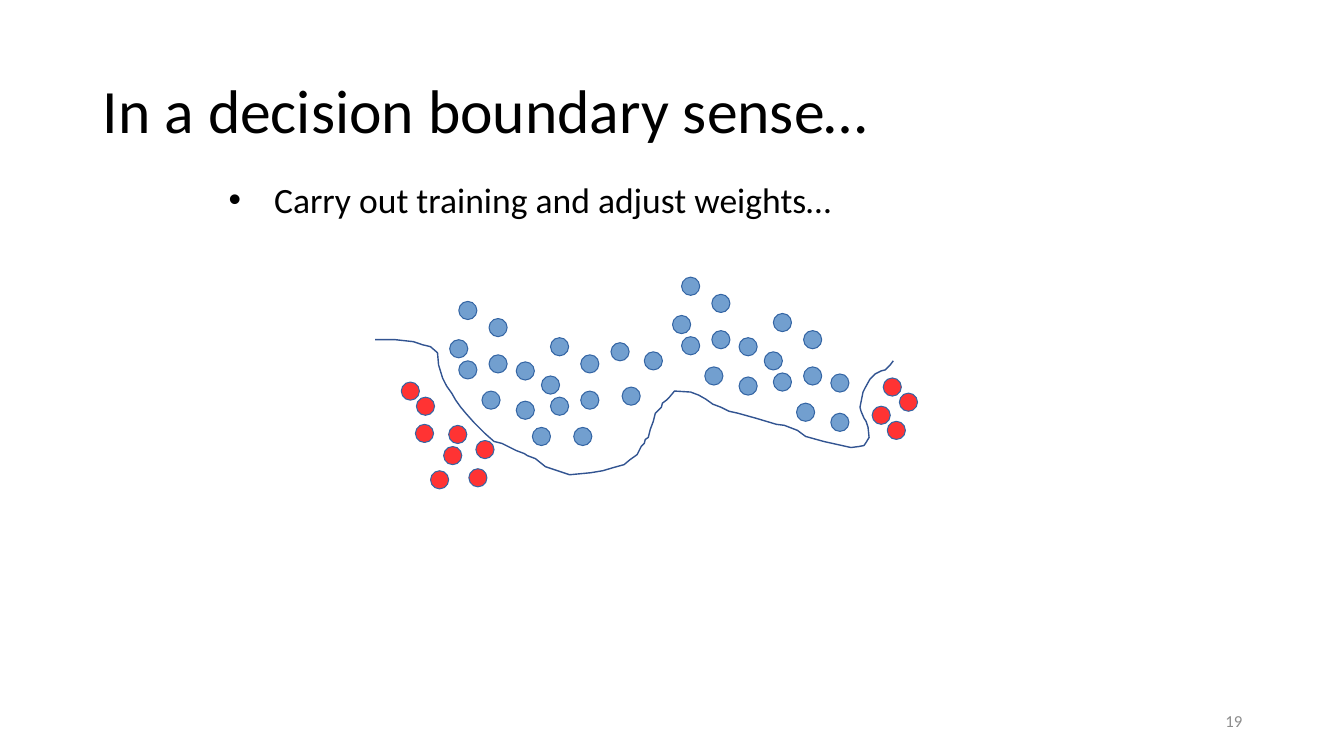
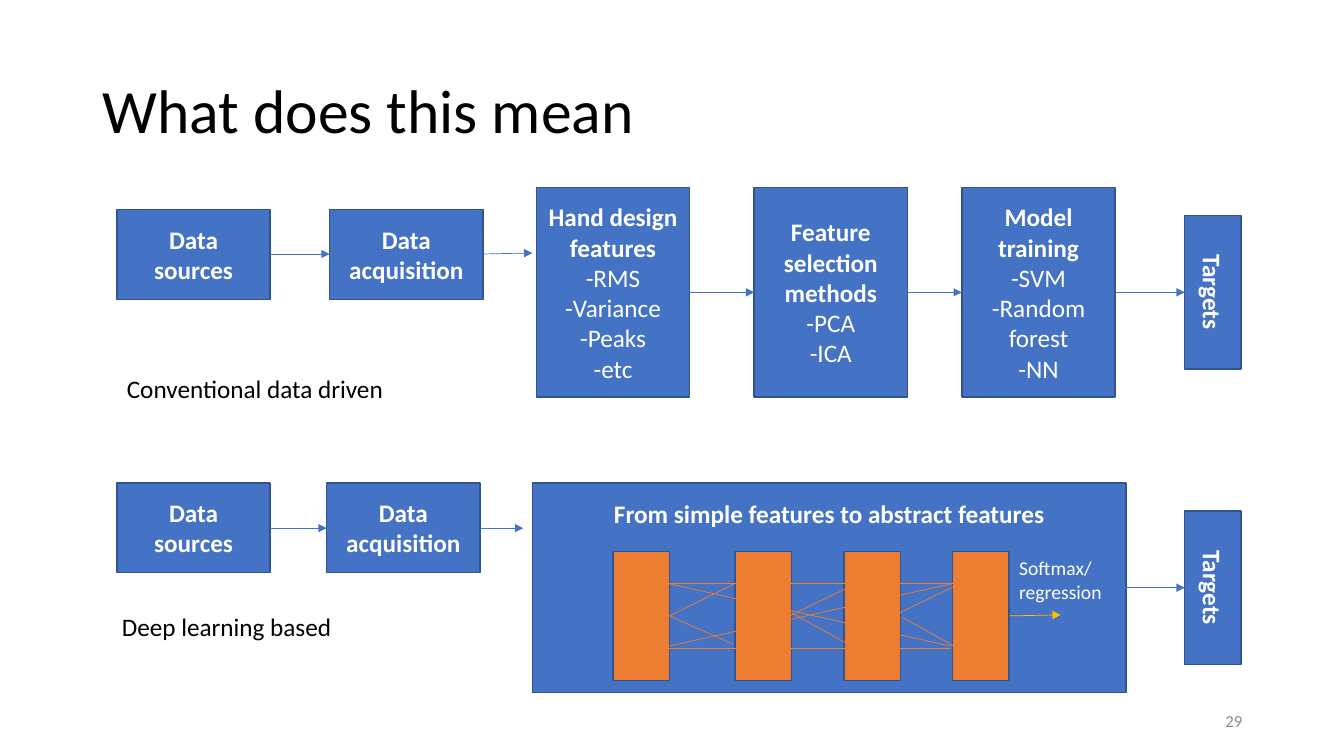
from pptx import Presentation, util as u
from pptx.dml import color
from pptx.enum import shapes, text
from pptx.oxml import xmlchemy as xml

BLACK, WHITE, GREY = "000000", "FFFFFF", "8C8C8C"
BLUE, NAVY, ORANGE, GOLD = "4472C4", "325491", "ED7D31", "FFC000"
SKY, RED, RIM = "729FCF", "FF3333", "3465A4"
LEFT, MID, RIGHT = text.PP_ALIGN.LEFT, text.PP_ALIGN.CENTER, text.PP_ALIGN.RIGHT
TOP, CENTRE = text.MSO_ANCHOR.TOP, text.MSO_ANCHOR.MIDDLE

DOT = 0.18
SWARM = [(0, 0), (0.3, 0.17), (-0.09, 0.38), (0, 0.59), (0.3, 0.53),
         (0.23, 0.89), (0.57, 0.6), (0.57, 0.99)]
SWARMS = [(4.55, 2.99, 8), (5.46, 3.35, 6), (6.76, 2.75, 8), (7.67, 3.11, 8)]
LOOSE = [(5.28, 4.24), (6.17, 3.84), (6.39, 3.49), (6.06, 3.4)]
REDS = [(3.98, 3.79), (4.13, 3.94), (4.72, 4.37), (4.4, 4.43), (4.65, 4.65),
        (4.12, 4.21), (4.27, 4.67), (4.45, 4.22), (8.65, 4.03), (8.76, 3.75),
        (8.8, 4.18), (8.92, 3.9)]
BOUND = [
    (3.72, 3.37), (3.92, 3.37), (4.1, 3.39), (4.19, 3.42), (4.27, 3.44),
    (4.34, 3.5), (4.35, 3.62), (4.39, 3.75), (4.43, 3.83), (4.48, 3.9),
    (4.52, 3.97), (4.57, 4.04), (4.62, 4.1), (4.7, 4.19), (4.76, 4.25),
    (4.81, 4.3), (4.9, 4.38), (4.98, 4.4), (5.02, 4.42), (5.12, 4.47),
    (5.2, 4.5), (5.23, 4.52), (5.31, 4.55), (5.41, 4.63), (5.53, 4.67),
    (5.65, 4.71), (5.86, 4.69), (5.98, 4.67), (6.08, 4.64), (6.19, 4.61),
    (6.25, 4.56), (6.32, 4.51), (6.36, 4.43), (6.39, 4.4), (6.4, 4.36),
    (6.43, 4.34), (6.45, 4.26), (6.48, 4.18), (6.5, 4.1), (6.56, 4.04),
    (6.57, 4), (6.61, 3.97), (6.64, 3.94), (6.69, 3.88), (6.85, 3.89),
    (6.93, 3.92), (7, 3.96), (7.07, 4.01), (7.15, 4.04), (7.23, 4.08),
    (7.32, 4.1), (7.5, 4.15), (7.7, 4.21), (7.78, 4.22), (7.91, 4.27),
    (7.99, 4.33), (8.17, 4.38), (8.35, 4.42), (8.44, 4.44), (8.52, 4.43),
    (8.57, 4.42), (8.59, 4.39), (8.62, 4.34), (8.61, 4.24), (8.59, 4.18),
    (8.57, 4.15), (8.54, 4.08), (8.53, 4.04), (8.56, 3.89), (8.58, 3.85),
    (8.63, 3.76), (8.68, 3.71), (8.74, 3.68), (8.78, 3.67), (8.83, 3.62),
    (8.86, 3.58)]

BOX_W, BOX_H, TALL_Y, TALL_H = 1.52, 0.89, 1.86, 2.08
LOW_Y = 4.79
BOXES = [
    (1.16, 2.08, BOX_H, ["Data sources"]),
    (3.27, 2.08, BOX_H, ["Data acquisition"]),
    (1.16, LOW_Y, BOX_H, ["Data sources"]),
    (3.24, LOW_Y, BOX_H, ["Data acquisition"]),
    (5.32, TALL_Y, TALL_H,
     ["Hand design features", "-RMS", "-Variance", "-Peaks", "-etc"]),
    (7.48, TALL_Y, TALL_H, ["Feature selection methods", "-PCA", "-ICA"]),
    (9.54, TALL_Y, TALL_H, ["Model training", "-SVM", "-Random forest", "-NN"])]
FLOWS = [(2.68, 2.52, 3.27, 2.52), (4.79, 2.52, 5.28, 2.51),
         (6.83, 2.9, 7.48, 2.9), (9, 2.9, 9.54, 2.9), (11.06, 2.9, 11.75, 2.9),
         (2.68, 5.24, 3.24, 5.24), (4.76, 5.24, 5.19, 5.24),
         (11.16, 5.83, 11.75, 5.83)]
LAYERS = [6.08, 7.29, 8.37, 9.45]
LINKS = [(6.64, 5.79, 9.45, 5.79), (6.62, 6.43, 9.43, 6.43),
         (6.63, 6.41, 9.45, 5.79), (6.63, 5.79, 9.43, 6.41),
         (6.64, 6.11, 7.29, 5.79), (7.73, 6.16, 8.39, 5.84),
         (8.84, 6.12, 9.5, 5.8), (8.94, 6.12, 9.5, 6.43),
         (7.85, 6.08, 8.41, 6.39), (6.64, 6.11, 7.27, 6.39)]


def inch(*vals):
    return [u.Inches(v) for v in vals]


def put(obj, vals):
    for name, val in vals.items():
        setattr(obj, name, val)


def tint(fill, hue):
    fill.solid()
    fill.fore_color.rgb = color.RGBColor.from_string(hue)


def stroke(item, hue, width):
    tint(item.line.fill, hue)
    item.line.width = u.Pt(width)


def write(frame, rows, size, hue, bold=0, align=LEFT, anchor=TOP, wrap=True,
          space=None):
    put(frame, {"word_wrap": wrap, "vertical_anchor": anchor})
    for i, row in enumerate(rows):
        para = frame.add_paragraph() if i else frame.paragraphs[0]
        put(para, {"alignment": align, "line_spacing": space})
        run = para.add_run()
        run.text = row
        put(run.font, {"name": "Calibri", "size": u.Pt(size), "bold": i < bold})
        tint(run.font.fill, hue)


def label(slide, area, rows, size, hue, **form):
    frame = slide.shapes.add_textbox(*inch(*area)).text_frame
    write(frame, rows, size, hue, **form)
    return frame


def shape(slide, kind, area, fill, rim=NAVY, width=1):
    item = slide.shapes.add_shape(kind, *inch(*area))
    item.shadow.inherit = False
    tint(item.fill, fill)
    stroke(item, rim, width)
    return item


def block(slide, area, rows=(), fill=BLUE, turn=0, anchor=CENTRE):
    item = shape(slide, shapes.MSO_SHAPE.RECTANGLE, area, fill)
    item.rotation = turn
    write(item.text_frame, rows, 18, WHITE, bold=1, align=MID, anchor=anchor)
    return item


def dot(slide, x, y, fill):
    shape(slide, shapes.MSO_SHAPE.OVAL, (x, y, DOT, DOT), fill, RIM, 0.75)


def link(slide, ends, hue, arrow=False):
    item = slide.shapes.add_connector(shapes.MSO_CONNECTOR.STRAIGHT, *inch(*ends))
    stroke(item, hue, 0.5)
    if arrow:
        head = xml.OxmlElement("a:tailEnd")
        head.set("type", "triangle")
        item.line._get_or_add_ln().append(head)
    item._element.spPr.append(xml.OxmlElement("a:effectLst"))


def curve(slide, dots):
    start, *rest = [inch(*spot) for spot in dots]
    pen = slide.shapes.build_freeform(*start)
    pen.add_line_segments(rest, close=False)
    item = pen.convert_to_shape()
    item.shadow.inherit = False
    item.fill.background()
    stroke(item, NAVY, 1)


def bullet(para):
    props = para._p.get_or_add_pPr()
    put(para, {"space_before": u.Pt(10)})
    for name, val in {"marL": 0.45, "indent": -0.45}.items():
        props.set(name, str(u.Inches(val)))
    for tag, key, val in (("a:buFont", "typeface", "Arial"),
                          ("a:buChar", "char", "•")):
        mark = xml.OxmlElement(tag)
        mark.set(key, val)
        props.append(mark)


def page(deck, head, num):
    slide = deck.slides.add_slide(deck.slide_layouts[5])
    title = slide.shapes.title
    put(title, dict(zip(("left", "top", "width", "height"),
                        inch(0.92, 0.4, 11.5, 1.45))))
    write(title.text_frame, [head], 44, BLACK, anchor=CENTRE, space=0.9)
    label(slide, (9.42, 6.95, 3, 0.4), [num], 12, GREY, align=RIGHT, anchor=CENTRE)
    return slide


def border(deck):
    slide = page(deck, "In a decision boundary sense…", "19")
    frame = label(slide, (2.17, 1.76, 9, 0.57),
                  ["Carry out training and adjust weights…"], 25.4, BLACK, space=0.9)
    bullet(frame.paragraphs[0])
    blues = [(x + dx, y + dy) for x, y, count in SWARMS for dx, dy in SWARM[:count]]
    for hue, spots in ((SKY, blues + LOOSE), (RED, REDS)):
        for x, y in spots:
            dot(slide, x, y, hue)
    curve(slide, BOUND)


def meaning(deck):
    slide = page(deck, "What does this mean", "29")
    for x, y, high, rows in BOXES:
        block(slide, (x, y, BOX_W, high), rows)
    panel = block(slide, (5.28, LOW_Y, 5.89, TALL_H),
                  ["From simple features to abstract features"], anchor=TOP)
    panel.text_frame.margin_top = u.Inches(0.15)
    for y in (2.62, 5.55):
        block(slide, (11.27, y, BOX_W, 0.56), ["Targets"], turn=90)
    for x in LAYERS:
        block(slide, (x, 5.47, 0.56, 1.28), fill=ORANGE)
    for ends in LINKS:
        link(slide, ends, ORANGE)
    link(slide, (10.01, 6.11, 10.52, 6.1), GOLD, arrow=True)
    for ends in FLOWS:
        link(slide, ends, BLUE, arrow=True)
    for area, rows, size, hue in (
            ((10.01, 5.47, 1.03, 0.57), ["Softmax/", "regression"], 14, WHITE),
            ((1.16, 3.65, 2.77, 0.4), ["Conventional data driven"], 18, BLACK),
            ((1.11, 6.02, 2.31, 0.4), ["Deep learning based"], 18, BLACK)):
        label(slide, area, rows, size, hue, wrap=False)


def main():
    deck = Presentation()
    put(deck, {"slide_width": u.Inches(13.33), "slide_height": u.Inches(7.5)})
    border(deck)
    meaning(deck)
    deck.save("out.pptx")


if __name__ == "__main__":
    main()
